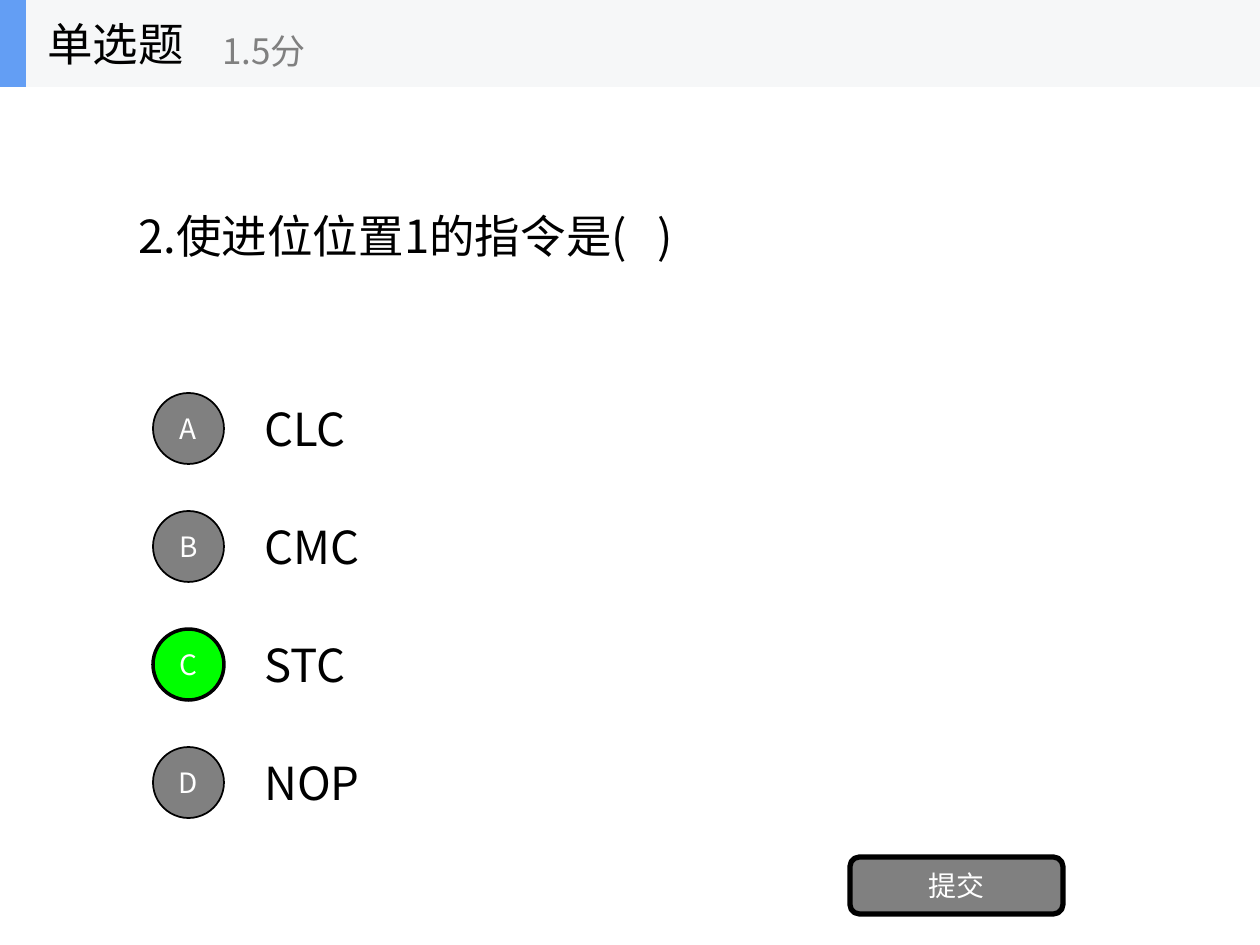
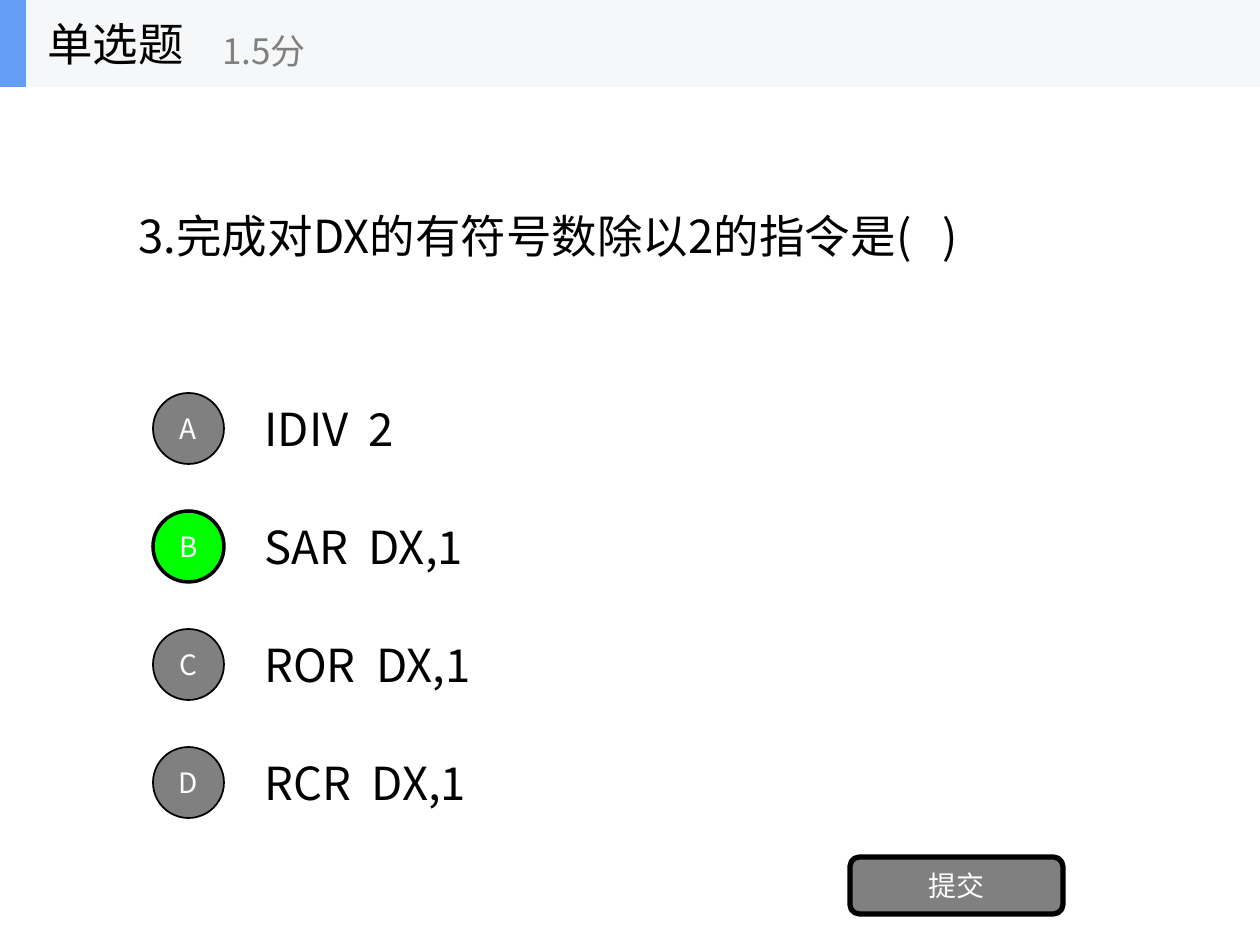
from pptx import Presentation
from pptx.dml.color import RGBColor
from pptx.enum.shapes import MSO_SHAPE
from pptx.enum.text import MSO_ANCHOR, MSO_AUTO_SIZE, PP_ALIGN
from pptx.oxml.ns import qn
from pptx.util import Inches, Pt

RECTANGLE = MSO_SHAPE.RECTANGLE
ROUNDED = MSO_SHAPE.ROUNDED_RECTANGLE
OVAL = MSO_SHAPE.OVAL
MIDDLE = MSO_ANCHOR.MIDDLE
LEFT, CENTER = PP_ALIGN.LEFT, PP_ALIGN.CENTER
GROW = MSO_AUTO_SIZE.SHAPE_TO_FIT_TEXT

BLACK = RGBColor(0x00, 0x00, 0x00)
WHITE = RGBColor(0xFF, 0xFF, 0xFF)
GRAY = RGBColor(0x80, 0x80, 0x80)
GREEN = RGBColor(0x00, 0xFF, 0x00)
BAND = RGBColor(0xF6, 0xF7, 0xF8)
BLUE = RGBColor(0x63, 0x9E, 0xF4)

FONT = "Noto Sans CJK SC"
PX_PER_INCH = 126
SLIDE_WIDTH, SLIDE_HEIGHT = 1260, 945
HEADER_HEIGHT = 87
OPTION_TOP, OPTION_PITCH = 393, 118
CIRCLE_SIZE = 71

# Each question: wording, box width, answer letter, (option, box width) pairs
QUESTIONS = [
    ("2.使进位位置1的指令是(   )", 583, "C",
     [("CLC", 121), ("CMC", 144), ("STC", 120), ("NOP", 141)]),
    ("3.完成对DX的有符号数除以2的指令是(   )", 873, "B",
     [("IDIV  2", 185), ("SAR  DX,1", 256), ("ROR  DX,1", 265), ("RCR  DX,1", 257)]),
]


def px(length):
    return round(length * Inches(1) / PX_PER_INCH)


def box_in_emu(box):
    return [px(length) for length in box]


def write_text(shape, text, size, color, alignment):
    text_frame = shape.text_frame
    text_frame.text = text
    text_frame.vertical_anchor = MIDDLE
    paragraph = text_frame.paragraphs[0]
    paragraph.alignment = alignment
    font = paragraph.runs[0].font
    font.size = Pt(size)
    font.name = FONT
    font.color.rgb = color
    # East Asian characters take their own typeface
    east_asian = font._element.makeelement(qn("a:ea"), {"typeface": FONT})
    font._element.find(qn("a:latin")).addnext(east_asian)


def add_text(slide, box, text, size=26, color=BLACK, wrap=True):
    text_box = slide.shapes.add_textbox(*box_in_emu(box))
    write_text(text_box, text, size, color, LEFT)
    text_box.text_frame.word_wrap = wrap
    if wrap:
        text_box.text_frame.auto_size = GROW


def add_block(slide, kind, box, fill, line_width=0, label=None):
    shape = slide.shapes.add_shape(kind, *box_in_emu(box))
    shape.shadow.inherit = False
    shape.fill.solid()
    shape.fill.fore_color.rgb = fill
    if line_width:
        shape.line.color.rgb = BLACK
        shape.line.width = Pt(line_width)
    else:
        shape.line.fill.background()
    if label:
        write_text(shape, label, 16, WHITE, CENTER)


def add_option(slide, row, text, width, correct):
    top = OPTION_TOP + row * OPTION_PITCH
    add_text(slide, (252, top + 1, width, 68), text)
    add_block(slide, OVAL, (153, top, CIRCLE_SIZE, CIRCLE_SIZE),
              GREEN if correct else GRAY, 2 if correct else 1, "ABCD"[row])


def add_header(slide):
    add_block(slide, RECTANGLE, (0, 0, SLIDE_WIDTH, HEADER_HEIGHT), BAND)
    add_block(slide, RECTANGLE, (0, 0, 26, HEADER_HEIGHT), BLUE)
    add_text(slide, (35, 0, 262, HEADER_HEIGHT), "单选题", wrap=False)
    add_text(slide, (210, 15, 315, 71), "1.5分", 20, GRAY, wrap=False)


def add_question_slide(presentation, question, width, answer, options):
    slide = presentation.slides.add_slide(presentation.slide_layouts[6])
    add_text(slide, (126, 174, width, 122), question)
    for row, (text, option_width) in enumerate(options):
        add_option(slide, row, text, option_width, "ABCD"[row] == answer)
    # Submit button
    add_block(slide, ROUNDED, (850, 857, 213, 57), GRAY, 3, "提交")
    add_header(slide)


def main():
    presentation = Presentation()
    presentation.slide_width = px(SLIDE_WIDTH)
    presentation.slide_height = px(SLIDE_HEIGHT)
    for question in QUESTIONS:
        add_question_slide(presentation, *question)
    presentation.save("out.pptx")


if __name__ == "__main__":
    main()
